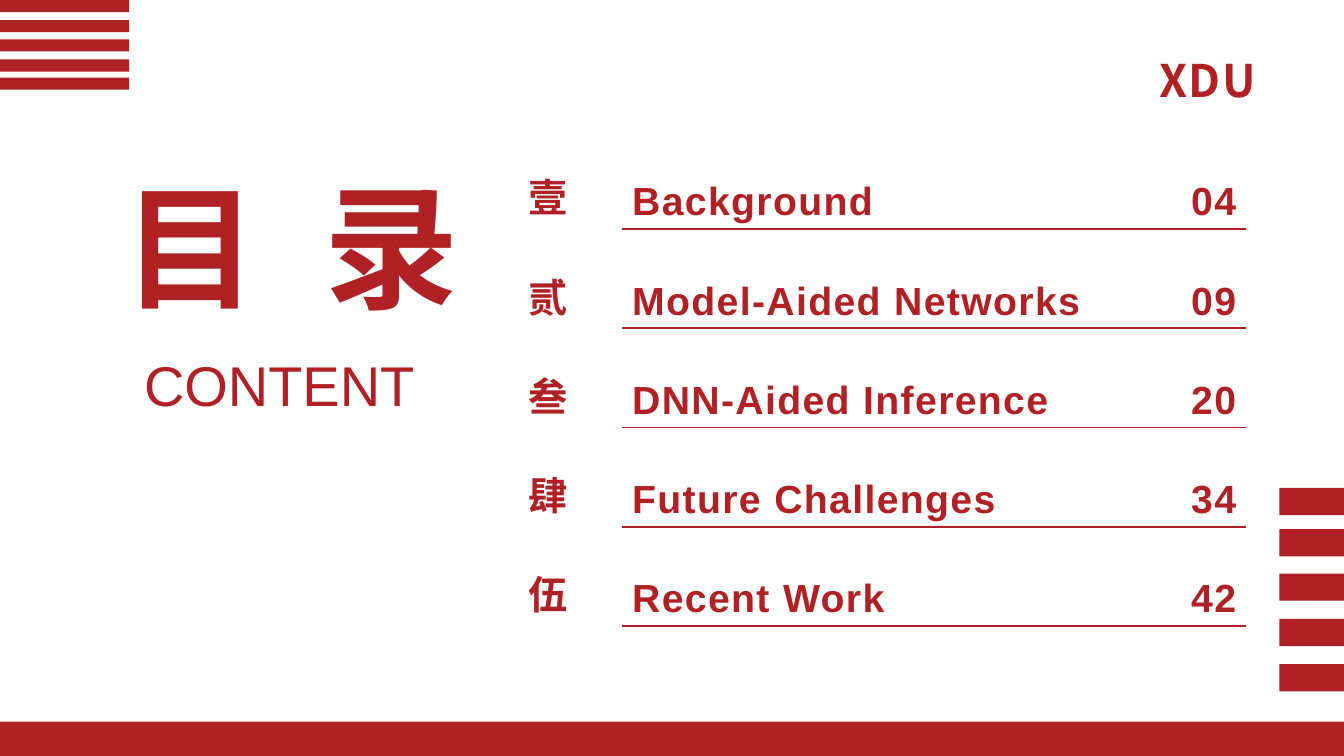
from lxml.etree import SubElement
from pptx import Presentation
from pptx.dml.color import RGBColor
from pptx.enum.shapes import MSO_SHAPE as Shape
from pptx.enum.text import MSO_ANCHOR as Anchor, PP_ALIGN as Align
from pptx.oxml import parse_xml
from pptx.oxml.ns import nsdecls, qn
from pptx.util import Inches, Pt

COLORS = {"red": "AF2125"}
CJK = "Noto Sans CJK SC"
RED = RGBColor.from_string(COLORS["red"])


def write(frame, text, size=28, font="Arial", bold=True, align=Align.LEFT,
          leading=None, spacing=0, wrap=True):
    frame.word_wrap = wrap
    paragraph = frame.paragraphs[0]
    paragraph.alignment = align
    paragraph.line_spacing = leading
    run = paragraph.add_run()
    run.text = text
    run.font.size, run.font.bold, run.font.name = Pt(size), bold, font
    run.font.color.rgb = RED
    properties = run.font._element
    properties.set("spc", str(round(spacing * 100)))
    SubElement(properties, qn("a:ea")).set("typeface", CJK)


def add_bar(left, top, width, height):
    bar = slide.shapes.add_shape(Shape.RECTANGLE, Inches(left), Inches(top),
                                 Inches(width), Inches(height))
    bar.shadow.inherit = False
    bar.fill.solid()
    bar.fill.fore_color.rgb = RED
    bar.line.fill.background()


deck = Presentation()
deck.slide_width, deck.slide_height = Inches(13.33), Inches(7.5)
slide = deck.slides.add_slide(deck.slide_layouts[5])

# Heading, subtitle and school initials
heading = slide.shapes.title
heading.left, heading.top = Inches(1.12), Inches(1.58)
heading.width, heading.height = Inches(3.8), Inches(1.72)
heading.text_frame.vertical_anchor = Anchor.TOP
write(heading.text_frame, "目 录", size=96, spacing=13.3, wrap=False)

subtitle = slide.shapes.add_textbox(Inches(1.33), Inches(3.43), Inches(3.35), Inches(0.77))
write(subtitle.text_frame, "CONTENT", size=40, bold=False, align=Align.JUSTIFY)

school = slide.shapes.add_textbox(Inches(11.4), Inches(0.31), Inches(1.26), Inches(0.73))
write(school.text_frame, "XDU", size=32, font=CJK, align=Align.JUSTIFY,
      leading=1.3, spacing=1, wrap=False)

# Contents table
chapters = [
    ("壹", "Background", "04"),
    ("贰", "Model-Aided Networks", "09"),
    ("叁", "DNN-Aided Inference", "20"),
    ("肆", "Future Challenges", "34"),
    ("伍", "Recent Work", "42"),
]
columns = [(1.03, Align.LEFT, None), (4.86, Align.JUSTIFY, 1.3), (1.33, Align.RIGHT, None)]
row_height = 0.984
contents = slide.shapes.add_table(
    len(chapters), len(columns), Inches(5.14), Inches(1.29),
    Inches(sum(width for width, _, _ in columns)), Inches(row_height * len(chapters))).table
contents.first_row = contents.horz_banding = False
for row in contents.rows:
    row.height = Inches(row_height)

for c, (width, align, leading) in enumerate(columns):
    contents.columns[c].width = Inches(width)
    for r, chapter in enumerate(chapters):
        cell = contents.cell(r, c)
        cell.vertical_anchor = Anchor.BOTTOM
        cell.fill.background()
        write(cell.text_frame, chapter[c], align=align, leading=leading, spacing=1)

        # Rules run under the chapter names and page numbers only
        ruled = {"lnT": c > 0 and r > 0, "lnB": c > 0}
        for i, side in enumerate(["lnL", "lnR", "lnT", "lnB"]):
            paint = "<a:noFill/>"
            if ruled.get(side):
                paint = f'<a:solidFill><a:srgbClr val="{COLORS["red"]}"/></a:solidFill>'
            border = parse_xml(f'<a:{side} {nsdecls("a")} w="{Pt(1.5)}">{paint}</a:{side}>')
            cell._tc.get_or_add_tcPr().insert(i, border)

# Footer band and corner stripes
add_bar(0, 7.16, 13.33, 0.34)
for top in (0, 0.2, 0.39, 0.59, 0.77):
    add_bar(0, top, 1.28, 0.12)
for top in (4.84, 5.25, 5.69, 6.14, 6.59):
    add_bar(12.69, top, 0.64, 0.27)

deck.save("out.pptx")
